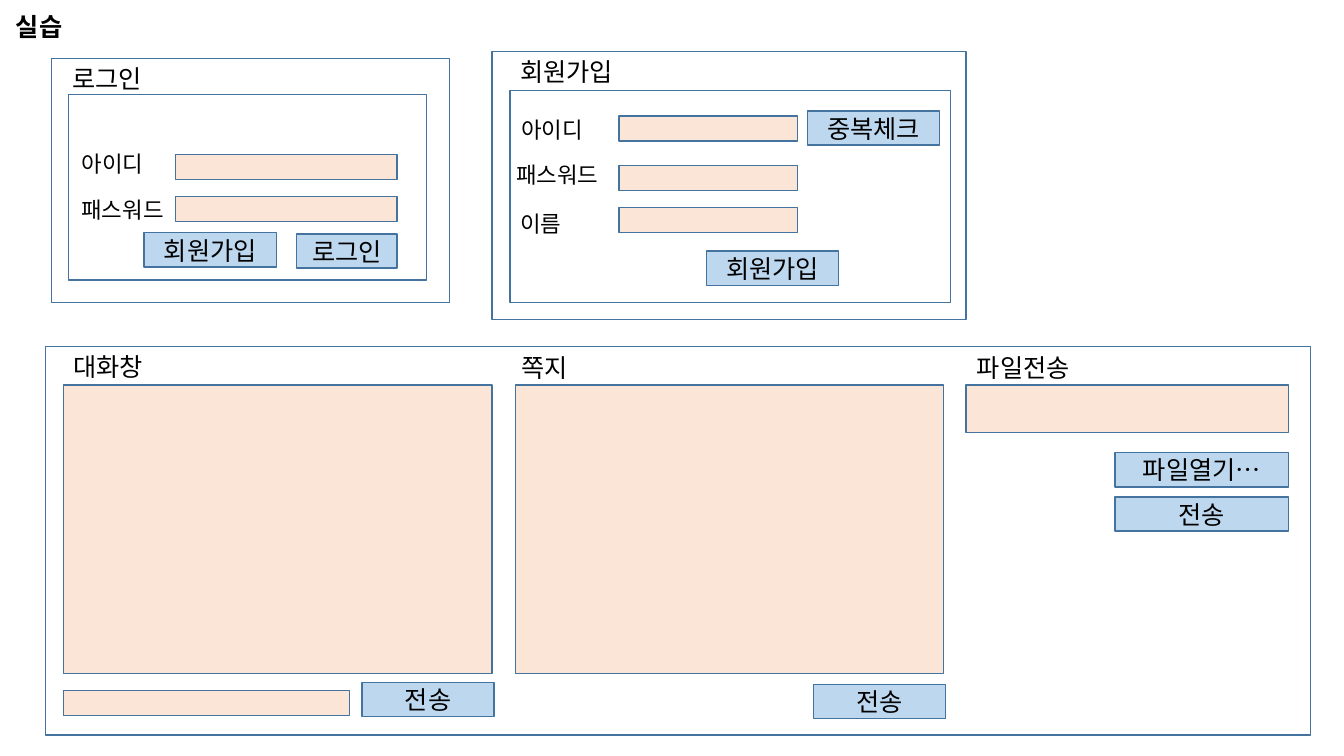
from dataclasses import dataclass
from lxml.etree import SubElement
from pptx import Presentation
from pptx.dml.color import RGBColor as Color
from pptx.enum.shapes import MSO_SHAPE as Shape
from pptx.enum.text import MSO_ANCHOR as Anchor, MSO_AUTO_SIZE as Fit, PP_ALIGN as Align
from pptx.oxml.ns import qn
from pptx.util import Inches, Pt


@dataclass(frozen=True)
class Theme:
    font: str = "Noto Sans CJK KR"
    ink: str = "000000"
    edge: str = "43739E"
    field: str = "FBE5D6"
    button: str = "BDD7EE"
    head: int = 18
    label: int = 16
    line: int = 1
    cell: float = 0.1


def write(frame, text, theme, size, bold=False, align=Align.LEFT):
    para = frame.paragraphs[0]
    para.alignment = align
    run = para.add_run()
    run.text = text
    font = run.font
    font.name, font.size, font.bold = theme.font, Pt(size), bold
    font.color.rgb = Color.from_string(theme.ink)
    SubElement(run._r.get_or_add_rPr(), qn("a:ea"), typeface=theme.font)


class Board:
    def __init__(self, slide, theme):
        self.slide = slide
        self.theme = theme

    def place(self, *cells):
        return [Inches(n * self.theme.cell) for n in cells]

    def box(self, col, row, wide, high, fill=None):
        box = self.slide.shapes.add_shape(
            Shape.RECTANGLE, *self.place(col, row, wide, high))
        box.shadow.inherit = False
        box.line.color.rgb = Color.from_string(self.theme.edge)
        box.line.width = Pt(self.theme.line)
        if fill:
            box.fill.solid()
            box.fill.fore_color.rgb = Color.from_string(fill)
        else:
            box.fill.background()
        return box

    def field(self, col, row, wide, high=2.5):
        self.box(col, row, wide, high, self.theme.field)

    def button(self, text, col, row, wide=13.1):
        box = self.box(col, row, wide, 3.4, self.theme.button)
        frame = box.text_frame
        frame.vertical_anchor = Anchor.MIDDLE
        write(frame, text, self.theme, self.theme.head, align=Align.CENTER)

    def text(self, text, col, row, wide, high, size, wrap=False, bold=False):
        box = self.slide.shapes.add_textbox(*self.place(col, row, wide, high))
        frame = box.text_frame
        frame.word_wrap = wrap
        frame.auto_size = Fit.SHAPE_TO_FIT_TEXT
        write(frame, text, self.theme, size, bold)

    def head(self, text, col, row, wide, **style):
        self.text(text, col, row, wide, 4, self.theme.head, **style)

    def label(self, text, col, row, wide):
        self.text(text, col, row, wide, 3.7, self.theme.label)


def login(board):
    board.box(5.1, 5.8, 39.5, 24.2)
    board.box(6.8, 9.4, 35.5, 18.4)
    board.head("로그인", 6.2, 5.8, 9.6)
    for text, row, wide, top in (("아이디", 14.4, 8.8, 15.3),
                                 ("패스워드", 19, 11, 19.5)):
        board.label(text, 7.1, row, wide)
        board.field(17.4, top, 22)
    board.button("로그인", 29.4, 23.2, 10)
    board.button("회원가입", 14.3, 23.1)


def join(board):
    board.box(48.8, 5.1, 47, 26.6)
    board.box(50.6, 9, 43.7, 21)
    board.head("회원가입", 50.6, 5.1, 12.1)
    for text, col, row, wide, top in (("아이디", 50.7, 11, 8.8, 11.5),
                                      ("패스워드", 50.2, 15.5, 11, 16.4),
                                      ("이름", 50.6, 20.4, 6.5, 20.6)):
        board.label(text, col, row, wide)
        board.field(61.4, top, 17.7)
    board.button("중복체크", 80.1, 11)
    board.button("회원가입", 70.1, 24.9)


def chat(board):
    board.box(4.5, 34.4, 125.5, 38.5)
    for text, col, row, wide, left, send, foot in (
            ("대화창", 6.3, 34.4, 9.6, 6.3, 35.9, 67.7),
            ("쪽지", 50.7, 34.5, 7.1, 51.1, 80.7, 67.9)):
        board.field(left, 38.2, 42.5, 28.6)
        board.head(text, col, row, wide)
        board.button("전송", send, foot)
    board.field(6.3, 68.5, 28.4)
    board.head("파일전송", 95.9, 34.5, 12.1)
    board.field(95.8, 38.2, 32, 4.7)
    for step, text in enumerate(("파일열기…", "전송")):
        board.button(text, 110.6, 44.9 + 4.4 * step, 17.2)


deck = Presentation()
deck.slide_width, deck.slide_height = Inches(13.33), Inches(7.5)
board = Board(deck.slides.add_slide(deck.slide_layouts[6]), Theme())
board.head("실습", 0.6, 0.6, 8.9, wrap=True, bold=True)
for draw in (login, join, chat):
    draw(board)
deck.save("out.pptx")
